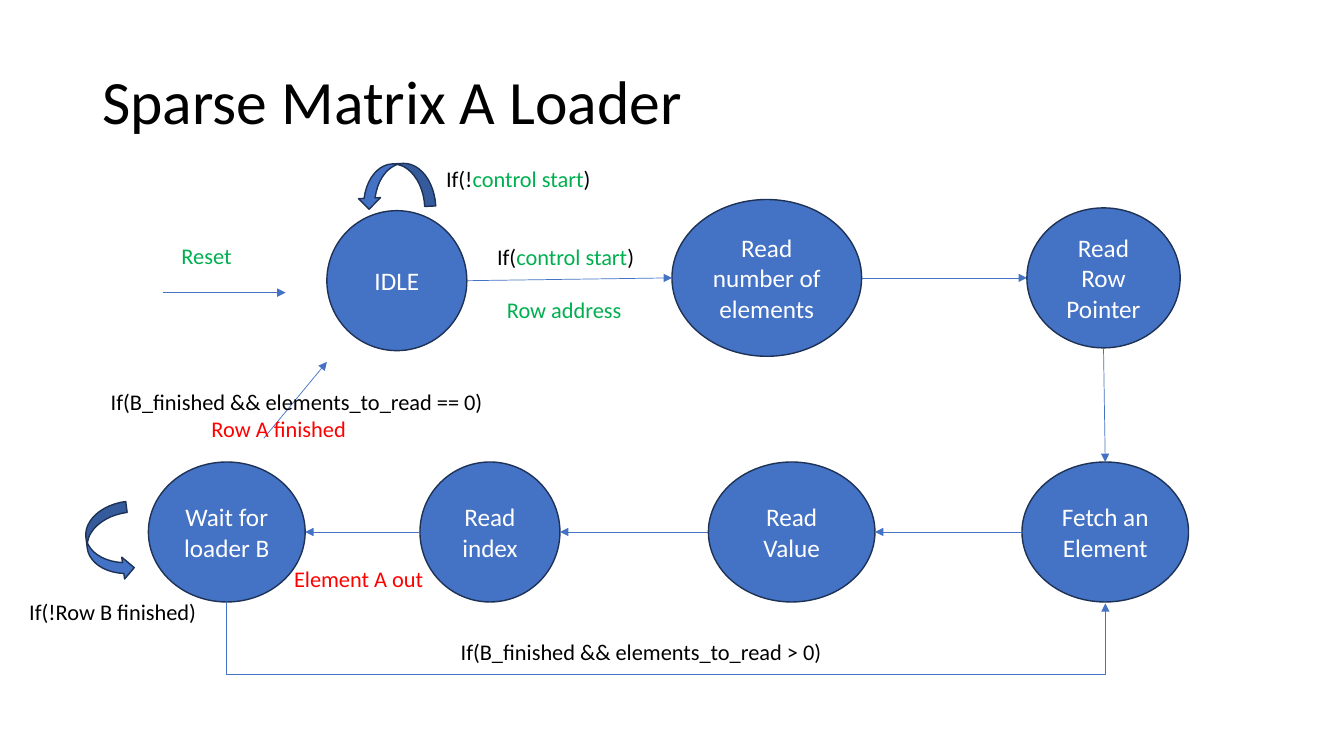
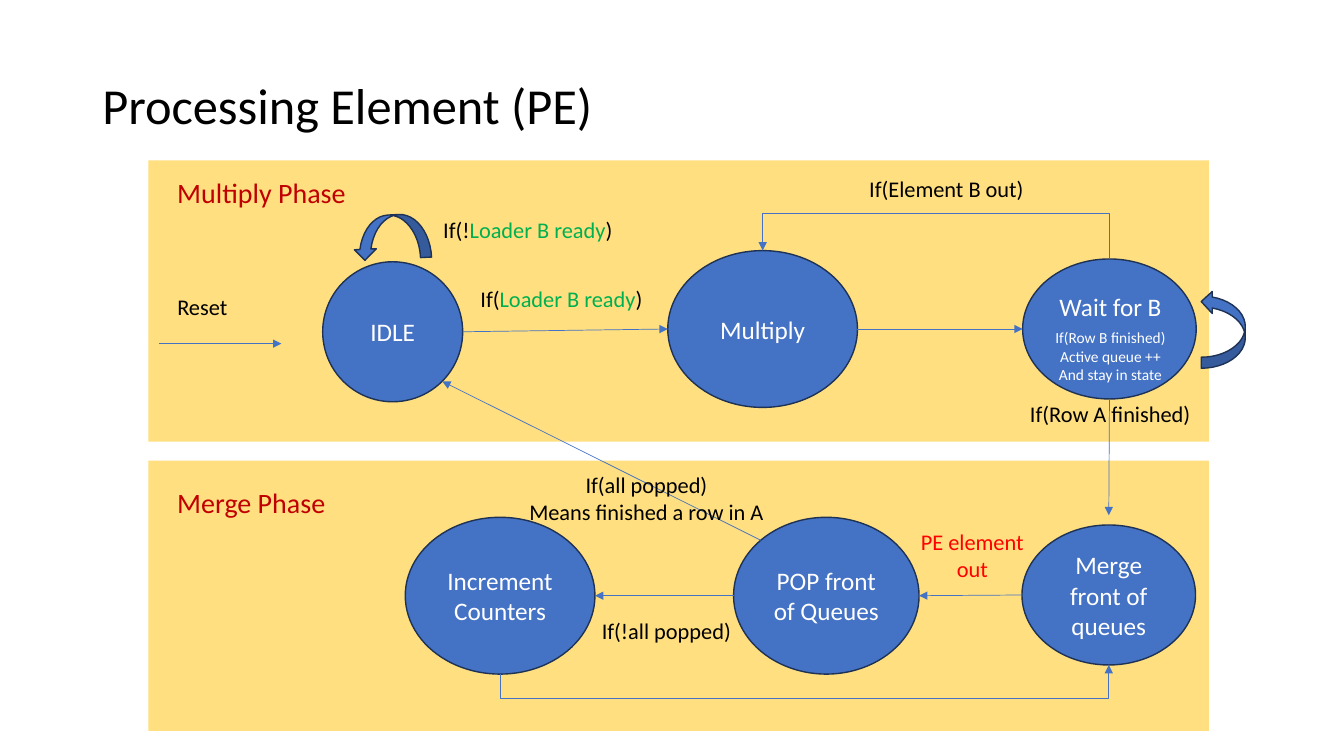
from dataclasses import dataclass
from math import cos, pi, sin
from lxml.etree import SubElement
from pptx import Presentation
from pptx.dml.color import RGBColor
from pptx.enum.shapes import MSO_CONNECTOR, MSO_SHAPE
from pptx.enum.text import MSO_ANCHOR, PP_ALIGN
from pptx.oxml.ns import qn
from pptx.util import Pt


@dataclass(frozen=True)
class Theme:
    font: str = "Calibri"
    black: str = "000000"
    white: str = "FFFFFF"
    blue: str = "4472C4"
    outline: str = "1E3256"
    green: str = "00B050"
    red: str = "FF0000"
    dark_red: str = "C00000"
    gold: str = "FFC000"
    phase_size: int = 20
    state_size: int = 18
    label_size: int = 16
    note_size: int = 11
    shape_line: float = 1
    arrow_line: float = 0.5


T = Theme()
# Connection sites of an ellipse, counted anticlockwise from the top
TOP, TOP_LEFT, LEFT, BOTTOM, BOTTOM_RIGHT, RIGHT = 0, 1, 2, 4, 5, 6


def rgb(color):
    return RGBColor.from_string(color)


def write(tf, paras, size, color, align):
    """Each paragraph is a string or a list of (text, colour) runs."""
    for i, para in enumerate(paras):
        p = tf.paragraphs[0] if i == 0 else tf.add_paragraph()
        p.alignment = align
        for text, run_color in [(para, color)] if isinstance(para, str) else para:
            r = p.add_run()
            r.text = text
            r.font.name = T.font
            r.font.size = Pt(size)
            r.font.color.rgb = rgb(run_color)


def site_point(shape, site):
    angle = site * pi / 4
    rx, ry = shape.width.pt / 2, shape.height.pt / 2
    return (shape.left.pt + rx - rx * sin(angle),
            shape.top.pt + ry - ry * cos(angle))


def finish_connector(c, joins):
    c.line.color.rgb = rgb(T.blue)
    c.line.width = Pt(T.arrow_line)
    SubElement(c.line._get_or_add_ln(), qn("a:tailEnd"), type="triangle")
    SubElement(c._element.spPr, qn("a:effectLst"))
    holder = c._element.nvCxnSpPr.cNvCxnSpPr
    for tag, join in zip(("a:stCxn", "a:endCxn"), joins):
        if join:
            shape, site = join
            SubElement(holder, qn(tag), id=str(shape.shape_id), idx=str(site))


@dataclass
class Region:
    """Part of a slide; its methods take points from its top left corner."""
    s: object
    left: float
    top: float

    def shape(self, kind, x, y, w, h, fill, line=None):
        sp = self.s.shapes.add_shape(
            kind, Pt(self.left + x), Pt(self.top + y), Pt(w), Pt(h))
        sp.shadow.inherit = False
        sp.fill.solid()
        sp.fill.fore_color.rgb = rgb(fill)
        if line:
            sp.line.color.rgb = rgb(line)
            sp.line.width = Pt(T.shape_line)
        else:
            sp.line.fill.background()
        return sp

    def state(self, x, y, w, h, *paras):
        sp = self.shape(MSO_SHAPE.OVAL, x, y, w, h, T.blue, T.outline)
        write(sp.text_frame, paras, T.state_size, T.white, PP_ALIGN.CENTER)
        return sp

    def loop(self, x, y, rotation):
        sp = self.shape(MSO_SHAPE.CURVED_RIGHT_ARROW, x, y, 31.5, 55.5,
                        T.blue, T.outline)
        sp.rotation = rotation

    def label(self, x, y, w, *paras, size=T.label_size, color=T.black,
              align=PP_ALIGN.CENTER):
        height = len(paras) * size * 1.22 + 7.2
        tb = self.s.shapes.add_textbox(
            Pt(self.left + x), Pt(self.top + y), Pt(w), Pt(height))
        tb.text_frame.word_wrap = False
        write(tb.text_frame, paras, size, color, align)
        return tb

    def arrow(self, start, end):
        """Straight arrow; an end is (x, y) or (shape, site)."""
        joins, points = [], []
        for first, second in (start, end):
            joined = hasattr(first, "shape_id")
            joins.append((first, second) if joined else None)
            points += (site_point(first, second) if joined
                       else (self.left + first, self.top + second))
        c = self.s.shapes.add_connector(
            MSO_CONNECTOR.STRAIGHT, *(Pt(v) for v in points))
        finish_connector(c, joins)

    def elbow(self, start, end, level):
        """U-shaped arrow between two joined states, running along level."""
        (x1, y1), (x2, y2) = site_point(*start), site_point(*end)
        dx, dy = x2 - x1, y2 - y1
        if abs(dy) < 1:
            dy = 1
        run = self.top + level - y1
        down = run > 0
        turned_left = (dy > 0) == down
        w, h = abs(dy), abs(dx)
        x, y = x1 + dx / 2 - w / 2, y1 + dy / 2 - h / 2
        c = self.s.shapes.add_connector(
            MSO_CONNECTOR.ELBOW, Pt(x), Pt(y), Pt(x + w), Pt(y + h))
        xfrm = c._element.spPr.find(qn("a:xfrm"))
        xfrm.set("rot", str((270 if turned_left else 90) * 60000))
        xfrm.set("flipH", str(int(down)))
        xfrm.set("flipV", str(int((dx < 0) == turned_left)))
        geom = c._element.spPr.find(qn("a:prstGeom"))
        av = geom.find(qn("a:avLst"))
        if av is None:
            av = SubElement(geom, qn("a:avLst"))
        SubElement(av, qn("a:gd"), name="adj1", fmla=f"val {round(run / dy * 100000)}")
        finish_connector(c, (start, end))


def add_slide(prs, title, size, top, height):
    s = prs.slides.add_slide(prs.slide_layouts[6])
    tb = s.shapes.add_textbox(Pt(66), Pt(top), Pt(828), Pt(height))
    tf = tb.text_frame
    tf.word_wrap = True
    tf.vertical_anchor = MSO_ANCHOR.MIDDLE
    write(tf, [title], size, T.black, PP_ALIGN.LEFT)
    tf.paragraphs[0].line_spacing = 0.9
    return s


def start_row(region, x, y, signal, signal_y, reset_color, second, third, third_w):
    """IDLE at (x, y) with its reset and loop, then the next two states."""
    idle = region.state(x, y, 100, 100, "IDLE")
    middle = region.state(x + 246.5, y - 8, 135.5, 112, second)
    last = region.state(x + 500, y - 2, third_w, 100, *third)
    region.arrow((x - 117, y + 58.5), (x - 29.5, y + 58.5))
    region.label(x - 111.5, y + 19, 51, "Reset", color=reset_color)
    region.loop(x + 33.5, y - 45.5, 87.2)
    region.arrow((idle, RIGHT), (middle, LEFT))
    region.arrow((middle, RIGHT), (last, LEFT))
    for prefix, left, top, width in (("If(!", 78, -36, 137),
                                     ("If(", 105, signal_y, 131)):
        region.label(x + left, y + top, width,
                     [(prefix, T.black), (signal, T.green), (")", T.black)],
                     align=PP_ALIGN.LEFT if prefix == "If(!" and third else PP_ALIGN.CENTER)
    return idle, middle, last


def loader_states(s, left, top):
    region = Region(s, left, top)
    idle, count, pointer = start_row(
        region, 127.5, 50.5, "control start", 19.5, T.green,
        "Read number of elements", ["Read Row Pointer"], 109.5)
    fetch, value, index, wait = [
        region.state(x, 230, w, 100, text) for x, w, text in (
            (624, 119, "Fetch an Element"), (400, 119, "Read Value"),
            (194, 100, "Read index"), (0, 112, "Wait for loader B"))]
    region.arrow((pointer, BOTTOM), (fetch, TOP))
    for a, b in ((fetch, value), (value, index), (index, wait)):
        region.arrow((a, LEFT), (b, RIGHT))
    region.arrow((82.5, 213), (127.5, 158.5))
    region.elbow((wait, BOTTOM), (fetch, BOTTOM), 382)
    region.loop(-44, 260, 352.7)
    region.label(248, 108, 98, "Row address", color=T.green)
    region.label(-95, 324, 139, "If(!Row B finished)")
    back = region.label(-34, 174, 283, "If(B_finished && elements_to_read == 0)",
                        [("Row A finished", T.red)], align=PP_ALIGN.LEFT)
    back.text_frame.word_wrap = True
    indent = back.text_frame.paragraphs[1]._p.get_or_add_pPr()
    indent.set("marL", str(Pt(72)))
    again = region.label(216, 352, 280, "If(B_finished && elements_to_read > 0)",
                         align=PP_ALIGN.LEFT)
    again.text_frame.word_wrap = True
    region.label(97, 300, 116, "Element A out", color=T.red, align=PP_ALIGN.LEFT)


def phase_band(s, left, top, height, title, title_y, title_w):
    region = Region(s, left, top)
    band = region.shape(MSO_SHAPE.RECTANGLE, 0, 0, 757.5, height, T.gold)
    color = band.fill._xPr.find(qn("a:solidFill"))[0]
    SubElement(color, qn("a:alpha"), val="50000")
    region.label(13.5, title_y, title_w, title, size=T.phase_size,
                 color=T.dark_red, align=PP_ALIGN.LEFT)
    return region


def multiply_phase(s, left, top):
    region = phase_band(s, left, top, 201, "Multiply Phase", 7, 136)
    idle, multiply, wait = start_row(
        region, 124.5, 72.5, "Loader B ready", 13, T.black, "Multiply", [], 124)
    region.elbow((wait, TOP), (multiply, TOP), 38)
    region.loop(752, 93, 180)
    region.label(507, 7, 126, "If(Element B out)")
    region.label(643, 90, 88.5, "Wait for B", size=T.state_size, color=T.white)
    region.label(640, 116.5, 94.5, "If(Row B finished)", "Active queue ++",
                 "And stay in state", size=T.note_size, color=T.white)
    return idle, wait


def merge_phase(s, left, top, idle, wait):
    region = phase_band(s, left, top, 193, "Merge Phase", 14.5, 122)
    merge = region.state(624, 46, 124, 100, "Merge front of", "queues")
    pop = region.state(418, 40.5, 132.5, 112, "POP front of Queues")
    count = region.state(183.5, 40.5, 135.5, 112, "Increment", "Counters")
    region.arrow((wait, BOTTOM), (686, 39))
    region.arrow((merge, LEFT), (pop, RIGHT))
    region.arrow((pop, LEFT), (count, RIGHT))
    region.arrow((pop, TOP_LEFT), (idle, BOTTOM_RIGHT))
    region.elbow((count, BOTTOM), (merge, BOTTOM), 170)
    region.label(622, -47, 130, "If(Row A finished)")
    region.label(544, 44.5, 89, "PE element", "out", color=T.red)
    region.label(264, 4, 183.5, "If(all popped)", "Means finished a row in A")
    region.label(316, 108, 108, "If(!all popped)")


def main():
    prs = Presentation()
    prs.slide_width, prs.slide_height = Pt(960), Pt(540)
    loader_states(add_slide(prs, "Sparse Matrix A Loader", 44, 33, 83), 106, 100)
    s = add_slide(prs, "Processing Element (PE)", 36, 25, 104.5)
    idle, wait = multiply_phase(s, 106, 114.5)
    merge_phase(s, 106, 329, idle, wait)
    prs.save("out.pptx")


if __name__ == "__main__":
    main()
